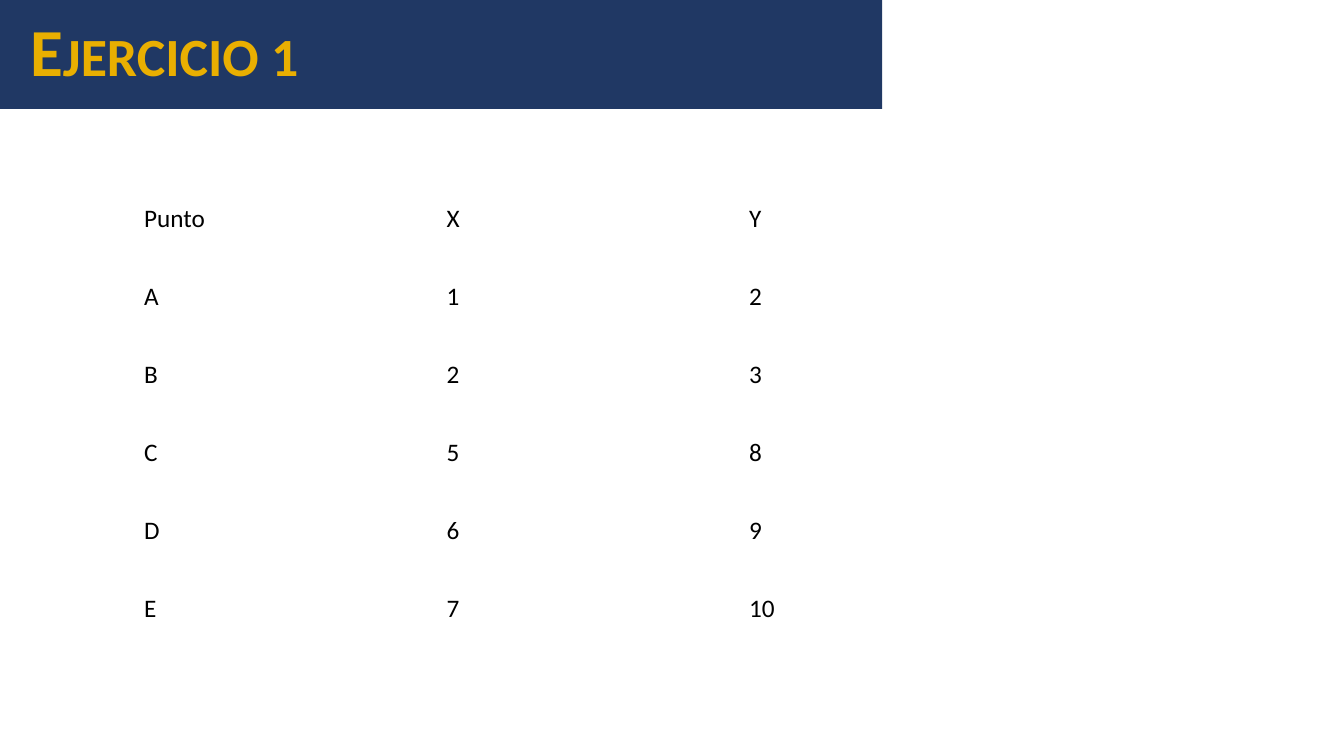
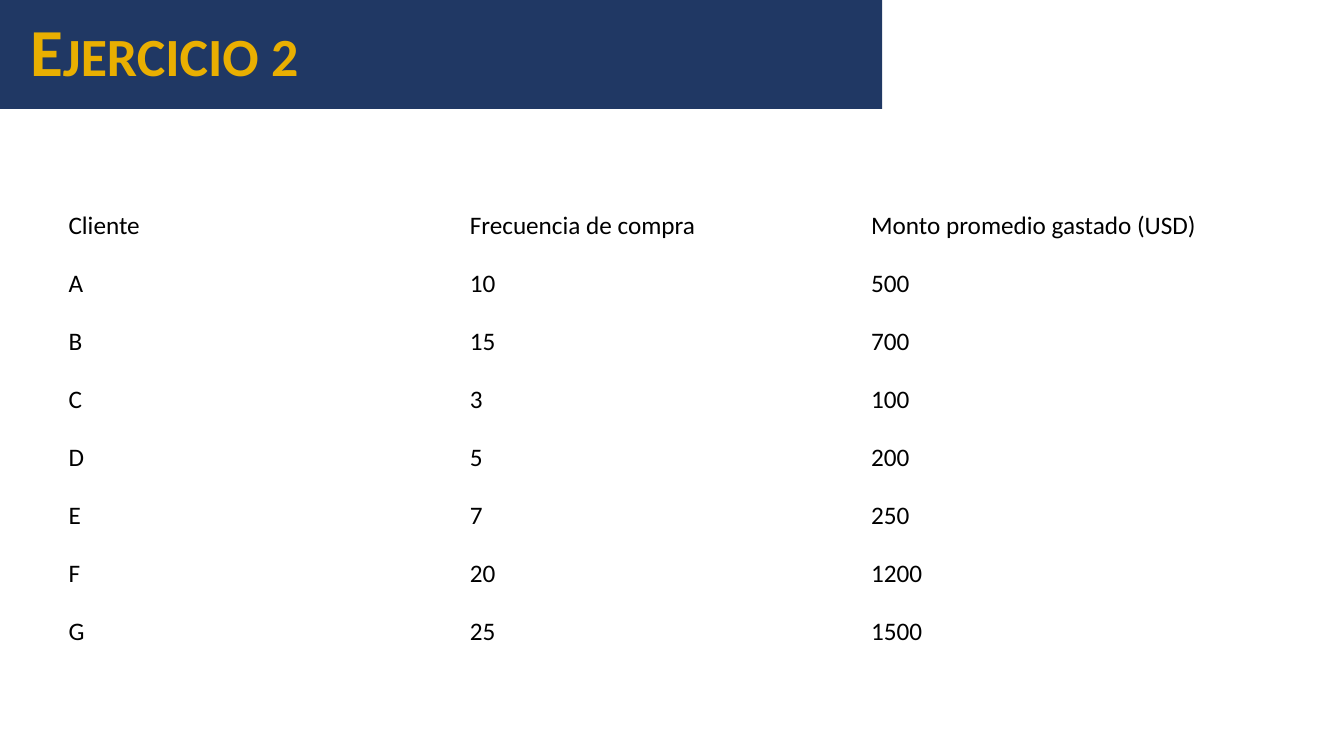
"""Build two exercise slides, each with a title band and a plain data table."""
from dataclasses import dataclass

from pptx import Presentation
from pptx.dml.color import RGBColor
from pptx.enum import shapes, text
from pptx.util import Inches, Pt


@dataclass(frozen=True)
class Theme:
    navy: str = "203864"
    gold: str = "E9AF01"
    ink: str = "000000"
    font: str = "Calibri"
    title: int = 48
    body: int = 18


THEME = Theme()
BAND = (0, 0, 8.75, 1.08)
SLIDES = [
    ("Ejercicio 1", (1.33, 1.78, 9, 4.65), [
        ("Punto", "X", "Y"),
        ("A", "1", "2"),
        ("B", "2", "3"),
        ("C", "5", "8"),
        ("D", "6", "9"),
        ("E", "7", "10"),
    ]),
    ("Ejercicio 2", (0.58, 1.95, 11.94, 4.61), [
        ("Cliente", "Frecuencia de compra", "Monto promedio gastado (USD)"),
        ("A", "10", "500"),
        ("B", "15", "700"),
        ("C", "3", "100"),
        ("D", "5", "200"),
        ("E", "7", "250"),
        ("F", "20", "1200"),
        ("G", "25", "1500"),
    ]),
]


def write(frame, words, size=THEME.body, color=THEME.ink, bold=False, caps=False, line=1.0):
    para = frame.paragraphs[0]
    para.alignment = text.PP_ALIGN.LEFT
    para.line_spacing = line
    run = para.add_run()
    run.text = words
    font = run.font
    font.name, font.size, font.bold = THEME.font, Pt(size), bold
    font.color.rgb = RGBColor.from_string(color)
    if caps:
        run._r.get_or_add_rPr().set("cap", "small")


def add_band(slide, box, title):
    band = slide.shapes.add_shape(shapes.MSO_SHAPE.RECTANGLE, *map(Inches, box))
    band.shadow.inherit = False
    band.fill.solid()
    band.fill.fore_color.rgb = RGBColor.from_string(THEME.navy)
    band.line.fill.background()
    frame = band.text_frame
    frame.word_wrap = True
    frame.margin_left = Inches(0.3)
    frame.vertical_anchor = text.MSO_ANCHOR.MIDDLE
    write(frame, title, size=THEME.title, color=THEME.gold, bold=True, caps=True, line=0.9)


def add_grid(slide, box, rows):
    grid = slide.shapes.add_table(len(rows), len(rows[0]), *map(Inches, box)).table
    grid.first_row = grid.horz_banding = False
    for r, row in enumerate(rows):
        for c, words in enumerate(row):
            cell = grid.cell(r, c)
            cell.fill.background()
            cell.vertical_anchor = text.MSO_ANCHOR.MIDDLE
            write(cell.text_frame, words)


def main():
    deck = Presentation()
    deck.slide_width, deck.slide_height = Inches(13.33), Inches(7.5)
    for title, box, rows in SLIDES:
        slide = deck.slides.add_slide(deck.slide_layouts[6])
        add_band(slide, BAND, title)
        add_grid(slide, box, rows)
    deck.save("out.pptx")


if __name__ == "__main__":
    main()
